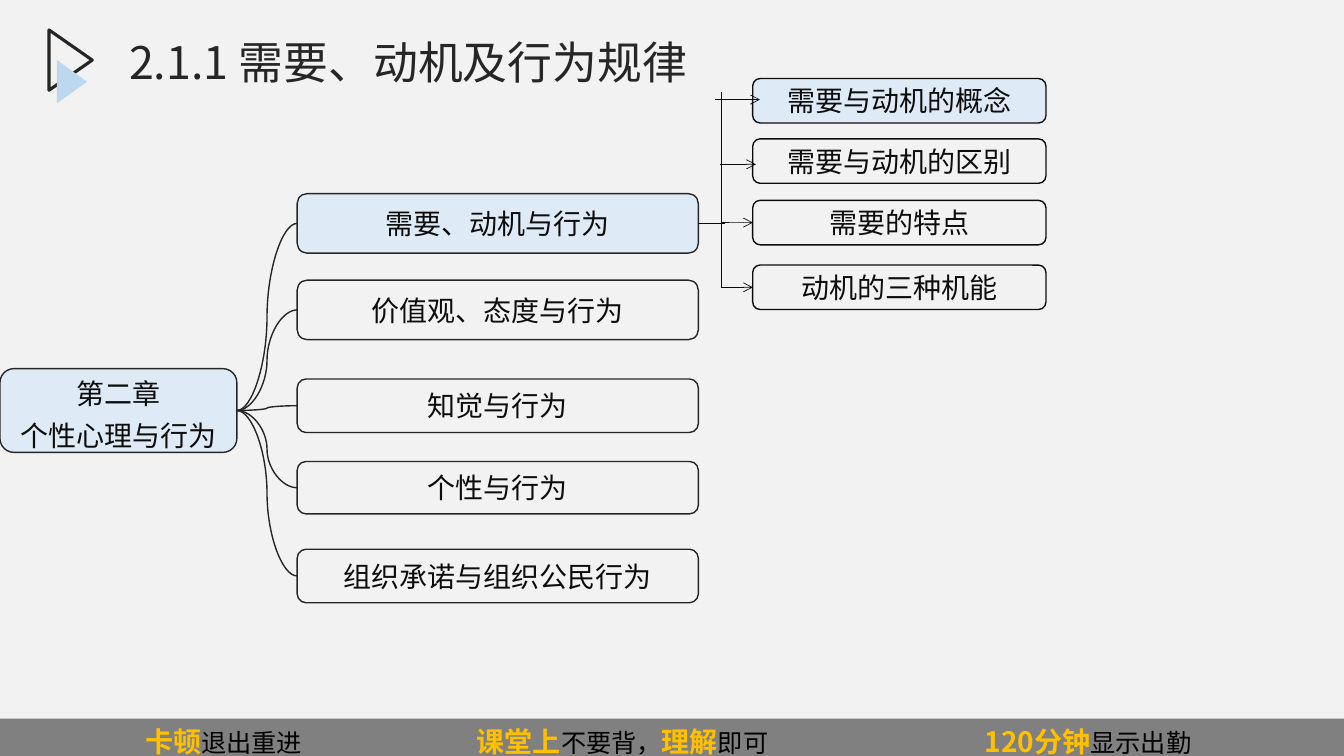
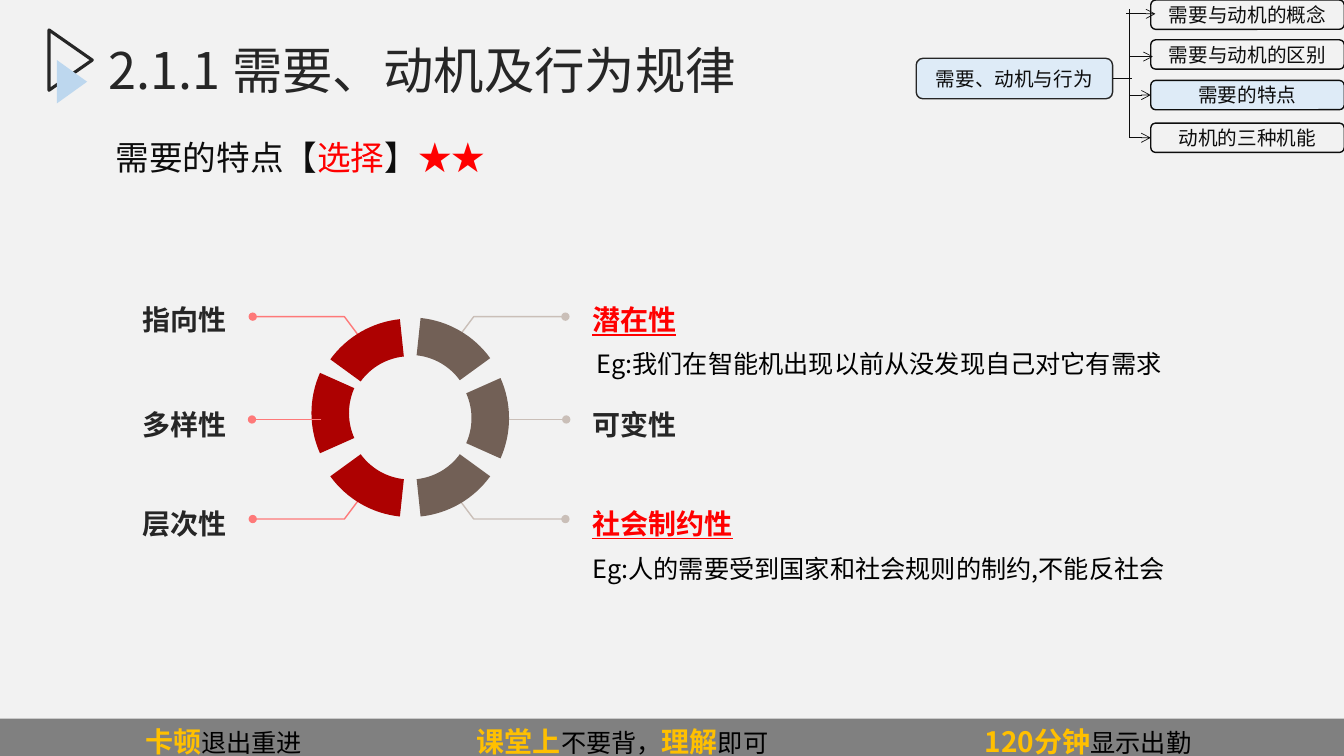
import lxml.etree
import pptx
import pptx.dml.color
import pptx.enum.shapes
import pptx.enum.text
import pptx.oxml.ns
import pptx.util

Cm = pptx.util.Cm
Pt = pptx.util.Pt
SHAPE = pptx.enum.shapes.MSO_SHAPE
CONNECTOR = pptx.enum.shapes.MSO_CONNECTOR
ALIGN = pptx.enum.text.PP_ALIGN
ANCHOR = pptx.enum.text.MSO_ANCHOR
qn = pptx.oxml.ns.qn

COLORS = {
    "background": "F2F2F2", "dark": "262626", "text": "0D0D0D", "black": "000000",
    "selected": "DEEBF7", "accent": "BDD7EE", "band": "808080", "gold": "FFC000",
    "red": "FF0000", "ring_red": "AD0101", "ring_brown": "726056",
    "leader_red": "FE7979", "leader_brown": "CABFB8",
}
FONT = "Noto Sans CJK SC"
TITLE = "2.1.1 需要、动机及行为规律"

STRONG = {"size": Pt(20), "bold": True, "color": "gold"}
FOOTER_RUNS = [
    ("卡顿", STRONG), ("退出重进\t", {}), ("课堂上", STRONG), ("不要背，", {}),
    ("理解", STRONG), ("即可\t", {}), ("120分钟", STRONG), ("显示出勤", {}),
]
FOOTER_TABS = [8.36, 21.16]

CHAPTER = ["第二章", "个性心理与行为"]
TOPICS = [
    ("需要、动机与行为", 4.88, 1.5),
    ("价值观、态度与行为", 7.06, 1.5),
    ("知觉与行为", 9.55, 1.35),
    ("个性与行为", 11.63, 1.32),
    ("组织承诺与组织公民行为", 13.84, 1.35),
]
MENU = [
    ("需要与动机的概念", 0, (-0.95, 0.53, 0.18)),
    ("需要与动机的区别", 1.52, (-0.83, 2.16, 0.08)),
    ("需要的特点", 3.07, (-0.8, 3.63, 0)),
    ("动机的三种机能", 4.7, (-0.8, 5.26, 0)),
]
MENU_BOX = (7.39, 1.12)
SPINE = (-0.8, 0.33, 5.26)

RED = {"color": "red"}
SUBTITLE_RUNS = [("需要的特点【", {}), ("选择", RED), ("】", {}), ("★★", RED)]
KEY = {"color": "red", "underline": True}
FEATURE_ROWS = [
    (7.54, ("指向性", {}), ("潜在性", KEY)),
    (10.19, ("多样性", {}), ("可变性", {})),
    (12.67, ("层次性", {}), ("社会制约性", KEY)),
]
EXAMPLES = [
    ("Eg:我们在智能机出现以前从没发现自己对它有需求", 14.78, 8.66, 15.77),
    ("Eg:人的需要受到国家和社会规则的制约,不能反社会", 14.68, 13.82, 14.96),
]
SEGMENTS = [
    (0, "ring_brown", 10.54), (60, "ring_brown", 10.54), (120, "ring_red", 10.54),
    (180, "ring_red", 10.41), (240, "ring_red", 10.52), (300, "ring_brown", 10.49),
]
RING_CENTER, RING_RADIUS, RING_HALF_ANGLE, RING_THICKNESS = 10.34, 2.49, 24, 0.19
LEADER_CENTER = 10.31
LEADER_SIDES = [(-1, "leader_red", 2.21), (1, "leader_brown", 2.52)]
LEADER_HEIGHTS = [(8.46, 7.98), (12.6, 13.08)]


def rgb(name):
    return pptx.dml.color.RGBColor.from_string(COLORS[name])


def apply(target, values):
    for name, value in values.items():
        setattr(target, name, value)


def write(paragraph, runs, **base):
    for text, changes in runs:
        values = {"name": FONT, "color": "text", **base, **changes}
        color = values.pop("color")
        run = paragraph.add_run()
        run.text = text
        apply(run.font, values)
        run.font.color.rgb = rgb(color)
        lxml.etree.SubElement(run._r.get_or_add_rPr(), qn("a:ea"), typeface=FONT)


def place(shape, left, top, width, height):
    apply(shape, {"left": Cm(left), "top": Cm(top), "width": Cm(width), "height": Cm(height)})


def paint(shape, fill=None, line=None, width=1):
    shape.shadow.inherit = False
    if fill:
        shape.fill.solid()
        shape.fill.fore_color.rgb = rgb(fill)
    else:
        shape.fill.background()
    if line:
        shape.line.color.rgb = rgb(line)
        shape.line.width = Pt(width)
    else:
        shape.line.fill.background()


def add_shape(slide, kind, box, **style):
    shape = slide.shapes.add_shape(kind, *map(Cm, box))
    paint(shape, **style)
    return shape


def add_box(slide, box, lines, size, selected=False, line="text", spacing=None):
    shape = add_shape(slide, SHAPE.ROUNDED_RECTANGLE, box,
                      fill="selected" if selected else None, line=line)
    frame = shape.text_frame
    apply(frame, {"word_wrap": True, "vertical_anchor": ANCHOR.MIDDLE,
                  "margin_left": Cm(0.1), "margin_right": Cm(0.1)})
    for index, text in enumerate(lines):
        paragraph = frame.add_paragraph() if index else frame.paragraphs[0]
        apply(paragraph, {"alignment": ALIGN.CENTER, "line_spacing": spacing})
        write(paragraph, [(text, {})], size=Pt(size))
    return shape


def add_text(slide, box, runs, paragraph_format, anchor=ANCHOR.TOP, **font):
    frame = slide.shapes.add_textbox(*map(Cm, box)).text_frame
    apply(frame, {"word_wrap": True, "vertical_anchor": anchor})
    apply(frame.paragraphs[0], paragraph_format)
    write(frame.paragraphs[0], runs, **font)


def add_tail(shape, kind):
    lxml.etree.SubElement(shape.line._get_or_add_ln(), qn("a:tailEnd"), type=kind)


def add_line(slide, start, end, color="text", width=0.5, kind=CONNECTOR.STRAIGHT, tail=None):
    connector = slide.shapes.add_connector(kind, *map(Cm, (*start, *end)))
    connector.line.color.rgb = rgb(color)
    connector.line.width = Pt(width)
    lxml.etree.SubElement(connector._element.spPr, qn("a:effectLst"))
    if tail:
        add_tail(connector, tail)
    return connector


def fill_placeholder(shape, box, runs, **font):
    place(shape, *box)
    frame = shape.text_frame
    apply(frame, {"word_wrap": True, "vertical_anchor": ANCHOR.TOP,
                  "auto_size": pptx.enum.text.MSO_AUTO_SIZE.NONE})
    paragraph = frame.paragraphs[0]
    properties = paragraph._p.get_or_add_pPr()
    apply(paragraph, {"alignment": ALIGN.LEFT, "line_spacing": 0.9, "space_before": Pt(0)})
    properties.set("marL", "0")
    properties.set("indent", "0")
    lxml.etree.SubElement(properties, qn("a:buNone"))
    write(paragraph, runs, **font)


def start_slide(presentation, layout, title_box, title_size):
    slide = presentation.slides.add_slide(presentation.slide_layouts[layout])
    for box, style in [
        ((1.02, 0.97, 1.52, 1.09), {"line": "dark", "width": 2.25}),
        ((1.27, 1.68, 1.09, 0.76), {"fill": "accent"}),
    ]:
        add_shape(slide, SHAPE.ISOSCELES_TRIANGLE, box, **style).rotation = 90
    band = add_shape(slide, SHAPE.RECTANGLE, (0, 18.11, 33.87, 1.12), fill="band")
    band.text_frame.margin_left = Cm(3.66)
    paragraph = band.text_frame.paragraphs[0]
    paragraph.alignment = ALIGN.LEFT
    tabs = lxml.etree.SubElement(paragraph._p.get_or_add_pPr(), qn("a:tabLst"))
    for position in FOOTER_TABS:
        lxml.etree.SubElement(tabs, qn("a:tab"), pos=str(Cm(position)), algn="l")
    write(paragraph, FOOTER_RUNS, size=Pt(18), color="black")
    fill_placeholder(slide.shapes.title, title_box, [(TITLE, {})],
                     size=Pt(title_size), color="dark")
    return slide


def add_menu(slide, parent, left, top, scale, size, selected):
    def point(x, y):
        return left + x * scale, top + y * scale

    spine, spine_top, spine_bottom = SPINE
    add_line(slide, point(spine, spine_bottom), point(spine, spine_top))
    middle = pptx.util.Length(parent.top + parent.height // 2).cm
    link = add_line(slide, (0, middle), (point(spine + 0.1, 0)[0], middle))
    link.begin_connect(parent, 3)
    width, height = (side * scale for side in MENU_BOX)
    for index, (text, offset, (start, level, end)) in enumerate(MENU):
        box = add_box(slide, (*point(0, offset), width, height), [text], size, index == selected)
        arrow = add_line(slide, point(start, level), point(end, level), tail="arrow")
        if end == 0:
            arrow.end_connect(box, 1)


def build_overview(presentation):
    slide = start_slide(presentation, 5, (3, 0.89, 19.38, 2.26), 32)
    chapter = add_box(slide, (0, 9.29, 5.97, 2.11), CHAPTER, 20, True, "dark", Pt(30))
    topics = []
    for index, (text, top, height) in enumerate(TOPICS):
        topic = add_box(slide, (7.49, top, 10.11, height), [text], 20, index == 0, "dark")
        curve = add_line(slide, (0, 0), (1, 1), "dark", 1, CONNECTOR.CURVE)
        curve.begin_connect(chapter, 3)
        curve.end_connect(topic, 1)
        topics.append(topic)
    add_menu(slide, topics[0], 18.97, 1.98, 1, 20, 0)


def add_ring(slide):
    for side, color, _ in LEADER_SIDES:
        for inner, outer in LEADER_HEIGHTS:
            points = [(Cm(LEADER_CENTER + side * offset), Cm(level))
                      for offset, level in ((1.27, inner), (1.63, outer), (3.94, outer))]
            builder = slide.shapes.build_freeform(*points[0])
            builder.add_line_segments(points[1:], close=False)
            leader = builder.convert_to_shape()
            paint(leader, line=color)
            add_tail(leader, "oval")
    for angle, color, center in SEGMENTS:
        box = (RING_CENTER - RING_RADIUS, center - RING_RADIUS, 2 * RING_RADIUS, 2 * RING_RADIUS)
        segment = add_shape(slide, SHAPE.BLOCK_ARC, box, fill=color)
        segment.adjustments[0] = (angle - RING_HALF_ANGLE) % 360 * 0.6
        segment.adjustments[1] = (angle + RING_HALF_ANGLE) * 0.6
        segment.adjustments[2] = RING_THICKNESS
    for side, color, start in LEADER_SIDES:
        add_line(slide, (LEADER_CENTER + side * start, 10.57),
                 (LEADER_CENTER + side * 3.96, 10.57), color, tail="oval")


def build_features(presentation):
    slide = start_slide(presentation, 1, (2.49, 1.04, 20, 2.36), 36)
    fill_placeholder(slide.placeholders[1], (2.66, 3.43, 29.21, 14.5), SUBTITLE_RUNS,
                     size=Pt(24), name="DejaVu Sans")
    parent = add_box(slide, (23.09, 1.47, 4.95, 1.02), [TOPICS[0][0]], 14, True, "dark")
    add_menu(slide, parent, 29, 0, 0.66, 14, 2)
    add_ring(slide)
    for top, *labels in FEATURE_ROWS:
        for label, left, alignment in zip(labels, (1.5, 14.68), (ALIGN.RIGHT, ALIGN.LEFT)):
            add_text(slide, (left, top, 4.47, 0.86), [label],
                     {"alignment": alignment, "line_spacing": 1.2}, ANCHOR.MIDDLE,
                     size=Pt(20), bold=True, color="dark")
    for text, left, top, width in EXAMPLES:
        add_text(slide, (left, top, width, 1.02), [(text, {})], {"alignment": ALIGN.LEFT},
                 size=Pt(18), color="black")


def main():
    presentation = pptx.Presentation()
    apply(presentation, {"slide_width": Cm(33.87), "slide_height": Cm(19.05)})
    background = presentation.slide_master.background.fill
    background.solid()
    background.fore_color.rgb = rgb("background")
    build_overview(presentation)
    build_features(presentation)
    presentation.save("out.pptx")


if __name__ == "__main__":
    main()
